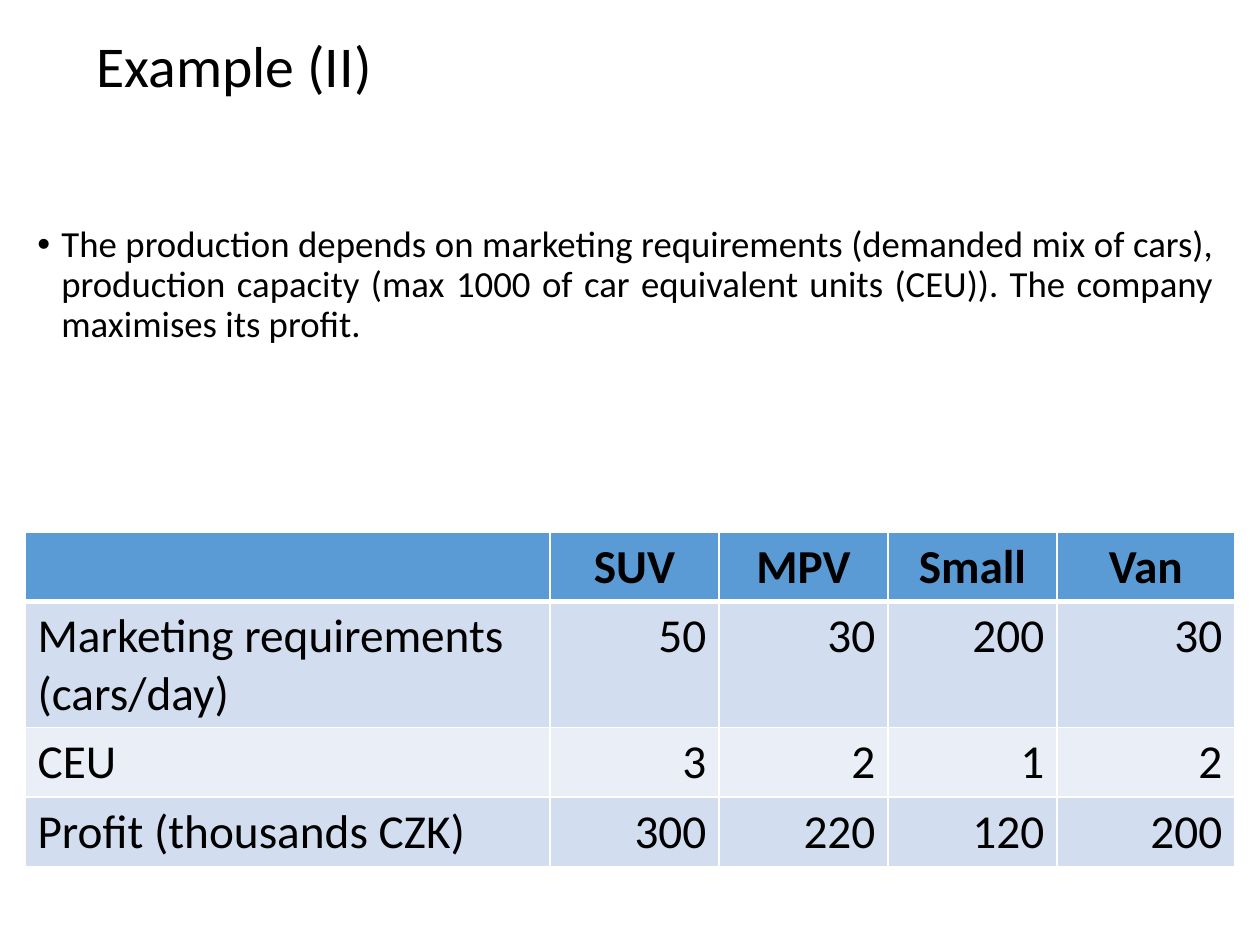
from dataclasses import dataclass

from lxml.etree import SubElement
from pptx import Presentation
from pptx.dml.color import RGBColor
from pptx.enum.text import MSO_ANCHOR, PP_ALIGN
from pptx.oxml import parse_xml
from pptx.oxml.ns import nsdecls, qn
from pptx.util import Emu, Pt

EMU_PER_PX = 914400 // 126
FONT = "Calibri"
COLORS = {
    "text": "000000",
    "border": "FFFFFF",
    "header": "5B9BD5",
    "band_dark": "D2DEEF",
    "band_light": "EAEFF7",
}


@dataclass(frozen=True)
class Box:
    left: int
    top: int
    width: int
    height: int

    def emu(self) -> list[Emu]:
        return [px(n) for n in (self.left, self.top, self.width, self.height)]


@dataclass(frozen=True)
class Row:
    label: str
    values: tuple[str, ...]
    fill: str
    header: bool = False


TITLE_BOX = Box(84, 31, 1124, 136)
BODY_BOX = Box(25, 220, 1201, 291)
TABLE_BOX = Box(25, 532, 1210, 208)
COLUMN_WIDTHS = (525, 169, 169, 169, 178)
BODY = (
    "The production depends on marketing requirements (demanded mix of cars), "
    "production capacity (max 1000 of car equivalent units (CEU)). "
    "The company maximises its profit."
)
ROWS = (
    Row("", ("SUV", "MPV", "Small", "Van"), "header", header=True),
    Row("Marketing requirements (cars/day)", ("50", "30", "200", "30"), "band_dark"),
    Row("CEU", ("3", "2", "1", "2"), "band_light"),
    Row("Profit (thousands CZK)", ("300", "220", "120", "200"), "band_dark"),
)


def px(n: int) -> Emu:
    return Emu(n * EMU_PER_PX)


def write(tf, text: str, *, size: int, bold: bool = False, align=PP_ALIGN.LEFT,
          line_spacing: float | None = None, bullet_indent: int = 0) -> None:
    """Fill the first paragraph of a text frame; a bullet hangs by its indent."""
    p = tf.paragraphs[0]
    p.alignment = align
    if line_spacing:
        p.line_spacing = line_spacing
    if bullet_indent:
        pPr = p._p.get_or_add_pPr()
        pPr.set("marL", str(px(bullet_indent)))
        pPr.set("indent", str(-px(bullet_indent)))
        SubElement(pPr, qn("a:buFont"), typeface="Arial")
        SubElement(pPr, qn("a:buChar"), char="•")
    r = p.add_run()
    r.text = text
    r.font.name = FONT
    r.font.size = Pt(size)
    r.font.bold = bold
    r.font.color.rgb = RGBColor.from_string(COLORS["text"])


def add_text(slide, box: Box, text: str, **fmt) -> None:
    tf = slide.shapes.add_textbox(*box.emu()).text_frame
    tf.word_wrap = True
    tf.vertical_anchor = MSO_ANCHOR.TOP
    write(tf, text, **fmt)


def set_borders(cell, widths: dict[str, int]) -> None:
    """Draw the sides L, R, T and B in points, ahead of the cell's fill."""
    tcPr = cell._tc.get_or_add_tcPr()
    for i, (side, width) in enumerate(widths.items()):
        tcPr.insert(i, parse_xml(
            f'<a:ln{side} {nsdecls("a")} w="{Pt(width)}"><a:solidFill>'
            f'<a:srgbClr val="{COLORS["border"]}"/></a:solidFill></a:ln{side}>'
        ))


def add_car_table(slide) -> None:
    frame = slide.shapes.add_table(len(ROWS), len(COLUMN_WIDTHS), *TABLE_BOX.emu())
    table = frame.table
    for column, width in zip(table.columns, COLUMN_WIDTHS):
        column.width = px(width)
    for i, row in enumerate(ROWS):
        value_align = PP_ALIGN.CENTER if row.header else PP_ALIGN.RIGHT
        top = 3 if i and ROWS[i - 1].header else 1
        bottom = 3 if row.header else 1
        for j, text in enumerate((row.label, *row.values)):
            cell = table.cell(i, j)
            cell.fill.solid()
            cell.fill.fore_color.rgb = RGBColor.from_string(COLORS[row.fill])
            set_borders(cell, {"L": 1, "R": 1, "T": top, "B": bottom})
            if text:
                write(cell.text_frame, text, size=27, bold=row.header,
                      align=value_align if j else PP_ALIGN.LEFT)


def main() -> None:
    prs = Presentation()
    prs.slide_width, prs.slide_height = px(1260), px(945)
    slide = prs.slides.add_slide(prs.slide_layouts[6])
    add_text(slide, TITLE_BOX, "Example (II)", size=33, line_spacing=0.9)
    add_text(slide, BODY_BOX, BODY, size=21, align=PP_ALIGN.JUSTIFY,
             line_spacing=0.9, bullet_indent=24)
    add_car_table(slide)
    prs.save("out.pptx")


if __name__ == "__main__":
    main()
